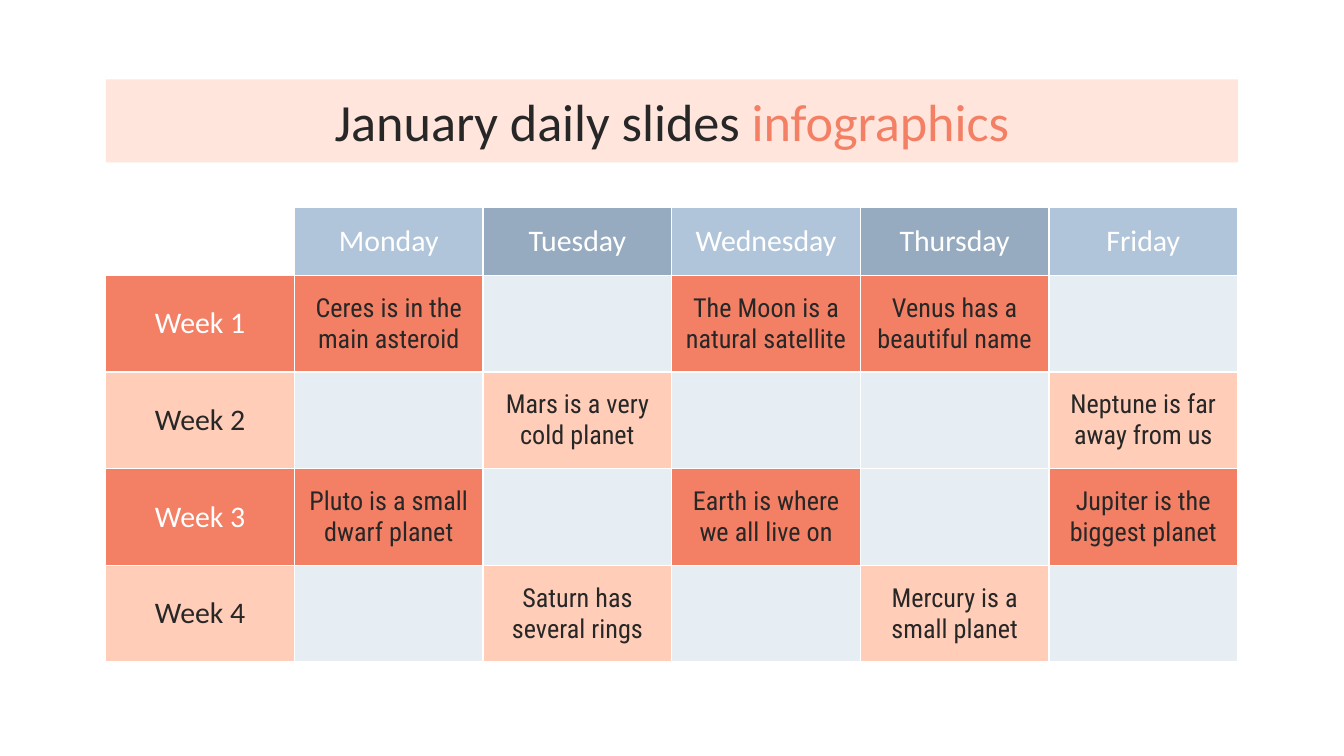
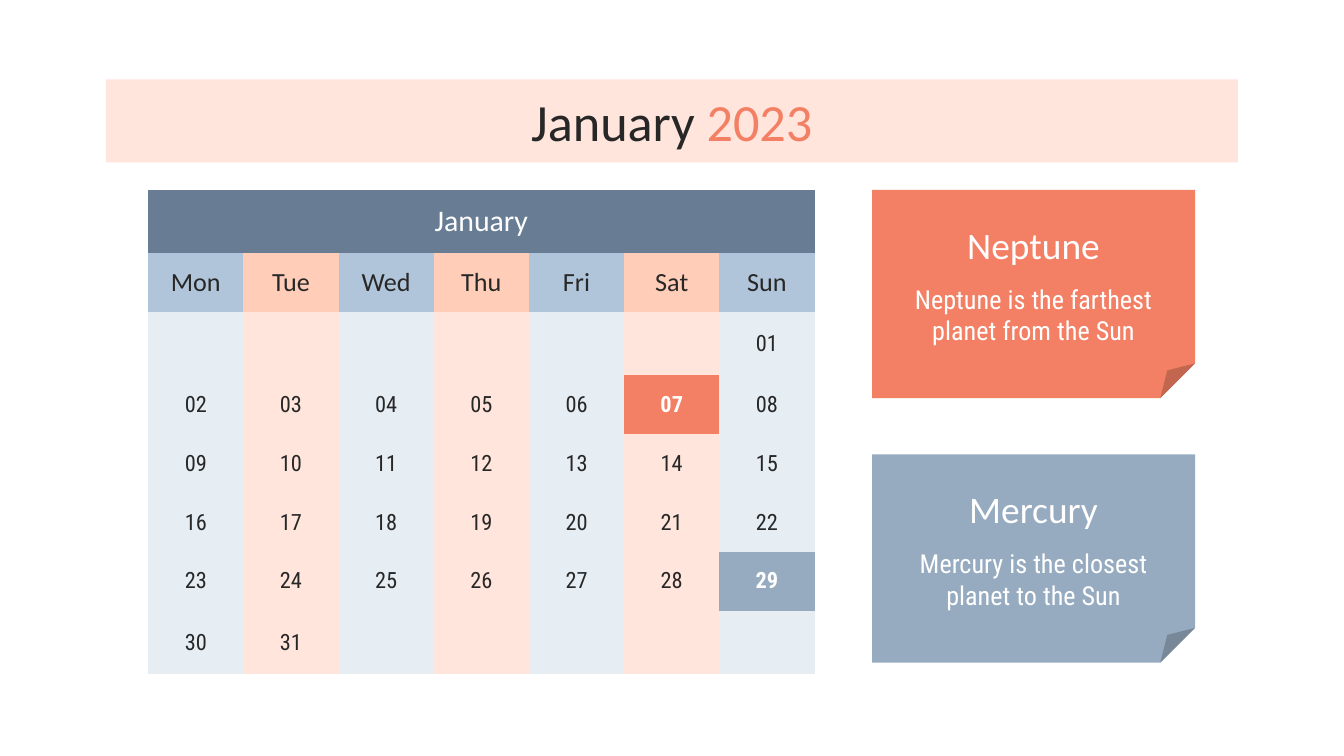
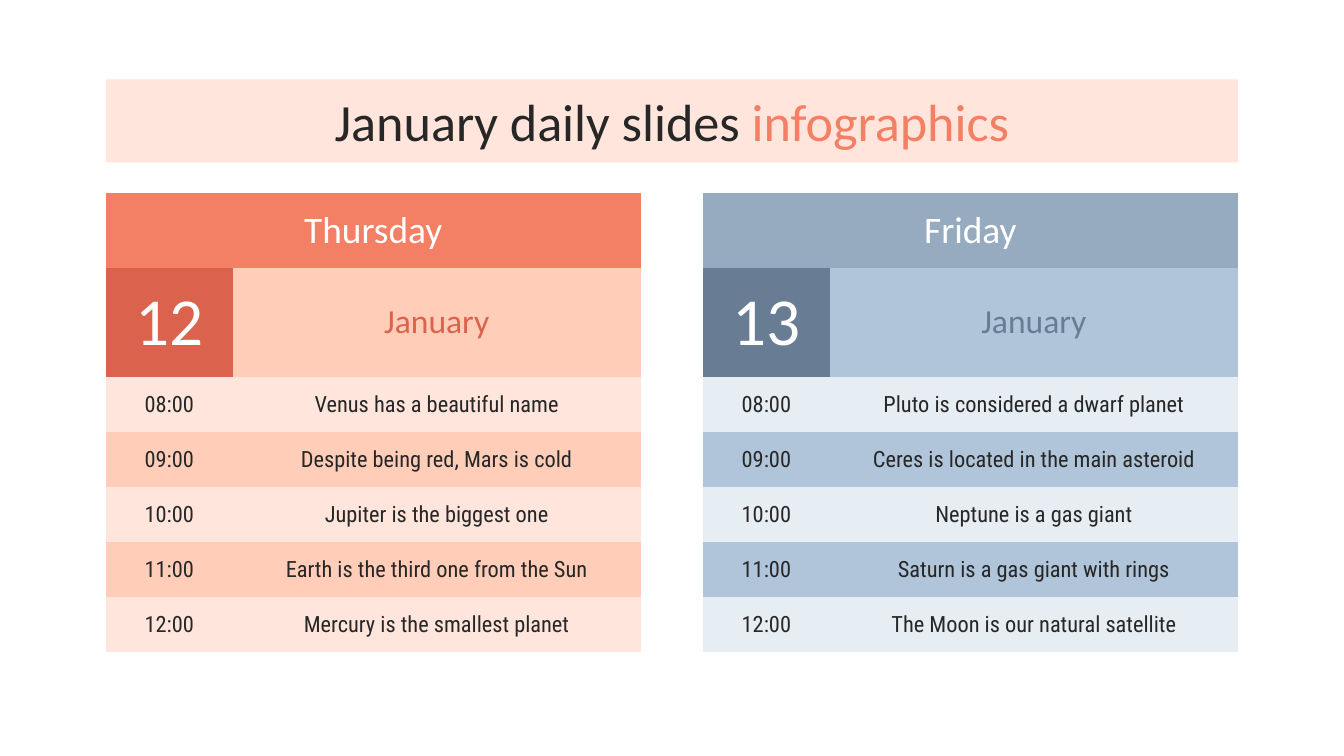
from dataclasses import dataclass

from lxml import etree
from pptx import Presentation
from pptx.dml.color import RGBColor
from pptx.enum.shapes import MSO_SHAPE
from pptx.enum.text import MSO_ANCHOR, PP_ALIGN
from pptx.oxml.ns import qn
from pptx.util import Pt

RECTANGLE, FOLDED_CORNER = MSO_SHAPE.RECTANGLE, MSO_SHAPE.FOLDED_CORNER
MIDDLE, CENTER = MSO_ANCHOR.MIDDLE, PP_ALIGN.CENTER
PLAIN_TABLE_STYLE = "{2D5ABB26-0587-4C30-8999-92F81FD0307C}"


@dataclass(frozen=True)
class Theme:
    ink: str = "272727"
    white: str = "FFFFFF"
    brick: str = "DB634D"
    coral: str = "F38065"
    peach: str = "FFCDB8"
    blush: str = "FFE5DB"
    slate: str = "687D94"
    steel: str = "96ABC0"
    sky: str = "B1C5DA"
    mist: str = "E6EDF3"
    heading: str = "Calibri"
    body: str = "Roboto Condensed"
    title_size: float = 28
    date_size: float = 36
    name_size: float = 20
    month_size: float = 18
    label_size: float = 16
    text_size: float = 14
    small_size: float = 12
    inset: float = 7.2
    left: float = 56.7
    width: float = 606.5


T = Theme()


@dataclass
class Cell:
    fill: str = ""
    text: str = ""
    size: float = T.small_size
    font: str = T.body
    color: str = T.ink
    bold: bool = False


def set_fill(item, color):
    item.fill.solid()
    item.fill.fore_color.rgb = RGBColor.from_string(color)


def style_run(r, size, font, color, bold=False):
    r.font.size = Pt(size)
    r.font.name = font
    r.font.bold = bold
    r.font.color.rgb = RGBColor.from_string(color)


def set_insets(item):
    """Give a text frame or a table cell the same margin on all sides."""
    item.margin_left = item.margin_right = Pt(T.inset)
    item.margin_top = item.margin_bottom = Pt(T.inset)
    item.vertical_anchor = MIDDLE


def add_filled_shape(s, kind, left, top, width, height, color):
    sp = s.shapes.add_shape(kind, Pt(left), Pt(top), Pt(width), Pt(height))
    sp.shadow.inherit = False
    sp.line.fill.background()
    set_fill(sp, color)
    return sp


def add_title(s, start, accent):
    """Title band whose last word is in the accent colour."""
    sp = add_filled_shape(s, RECTANGLE, T.left, 42.5, T.width, 44.5, T.blush)
    tf = sp.text_frame
    tf.word_wrap = True
    set_insets(tf)
    p = tf.paragraphs[0]
    p.alignment = CENTER
    for text, color in ((start + " ", T.ink), (accent, T.coral)):
        r = p.add_run()
        r.text = text
        style_run(r, T.title_size, T.heading, color)


def add_text(s, left, top, width, height, text, size, font):
    tf = s.shapes.add_textbox(Pt(left), Pt(top), Pt(width), Pt(height)).text_frame
    tf.word_wrap = True
    set_insets(tf)
    p = tf.paragraphs[0]
    p.text = text
    p.alignment = CENTER
    style_run(p.runs[0], size, font, T.white)


def add_note(s, top, color, name, text):
    left, width = 467.2, 173
    add_filled_shape(s, FOLDED_CORNER, left, top, width, 111.6, color)
    add_text(s, left + 10, top + 18.3, width - 20, 21.9, name, T.name_size, T.heading)
    add_text(s, left + 10, top + 40.2, width - 20, 53.3, text, T.text_size, T.body)


def add_border(cell, color):
    tc_pr = cell._tc.get_or_add_tcPr()
    for i, side in enumerate(("lnL", "lnR", "lnT", "lnB")):
        ln = etree.Element(qn("a:" + side), w=str(Pt(0.75)))
        fill = etree.SubElement(ln, qn("a:solidFill"))
        etree.SubElement(fill, qn("a:srgbClr"), val=color)
        tc_pr.insert(i, ln)


def fill_cell(cell, content):
    set_insets(cell)
    if content.fill:
        set_fill(cell, content.fill)
    p = cell.text_frame.paragraphs[0]
    p.alignment = CENTER
    if content.text:
        p.text = content.text
        style_run(p.runs[0], content.size, content.font, content.color, content.bold)
    else:
        etree.SubElement(p._p, qn("a:endParaRPr"), sz=str(int(content.size * 100)))


def add_grid(s, left, top, col_widths, row_heights, rows, border=None):
    """Table from rows of Cell; a row with a single Cell spans all columns."""
    frame = s.shapes.add_table(len(rows), len(col_widths), Pt(left), Pt(top),
                               Pt(sum(col_widths)), Pt(sum(row_heights)))
    table = frame.table
    table.first_row = table.horz_banding = False
    table._tbl.tblPr.find(qn("a:tableStyleId")).text = PLAIN_TABLE_STYLE
    for column, width in zip(table.columns, col_widths):
        column.width = Pt(width)
    for i, (height, contents) in enumerate(zip(row_heights, rows)):
        table.rows[i].height = Pt(height)
        if len(contents) == 1:
            table.cell(i, 0).merge(table.cell(i, len(col_widths) - 1))
        for j, content in enumerate(contents):
            cell = table.cell(i, j)
            fill_cell(cell, content)
            if border:
                add_border(cell, border)


def add_week_plan(s, days, weeks):
    """weeks: one dict per week, from day name to its entry."""
    rows = [[Cell()] + [Cell((T.sky, T.steel)[i % 2], day, T.label_size, T.heading, T.white)
                        for i, day in enumerate(days)]]
    for i, entries in enumerate(weeks):
        fill, color = ((T.coral, T.white), (T.peach, T.ink))[i % 2]
        row = [Cell(fill, f"Week {i + 1}", T.label_size, T.heading, color)]
        for day in days:
            row.append(Cell(fill if day in entries else T.mist,
                            entries.get(day, ""), T.text_size))
        rows.append(row)
    columns = len(days) + 1
    add_grid(s, T.left, 111.2, [T.width / columns] * columns,
             [36.3] + [51.8] * len(weeks), rows, border=T.white)


def add_calendar(s, month, day_names, first_column, day_count, marked):
    """marked: fill colour of each highlighted day."""
    rows = [[Cell(T.slate, month, T.label_size, T.heading, T.white)],
            [Cell((T.sky, T.peach)[i % 2], name, T.text_size, T.heading)
             for i, name in enumerate(day_names)]]
    for first_day in range(1 - first_column, day_count + 1, 7):
        row = []
        for i in range(7):
            day = first_day + i
            text = f"{day:02d}" if 1 <= day <= day_count else ""
            if day in marked:
                row.append(Cell(marked[day], text, color=T.white, bold=True))
            else:
                row.append(Cell((T.mist, T.blush)[i % 2], text))
        rows.append(row)
    edge, inner = 34.2, 31.5
    heights = [33.7, inner, edge] + [inner] * (len(rows) - 4) + [edge]
    add_grid(s, 79.4, 101.8, [51] * 7, heights, rows)


def add_day_plan(s, left, day, date, colors, events):
    """colors: header, date, month and light row."""
    header, strong, medium, light = colors
    rows = [[Cell(header, day, T.name_size, T.heading, T.white)],
            [Cell(strong, date, T.date_size, T.heading, T.white),
             Cell(medium, "January", T.month_size, T.heading, strong)]]
    for i, event in enumerate(events):
        fill = (light, medium)[i % 2]
        rows.append([Cell(fill, f"{8 + i:02d}:00"), Cell(fill, event)])
    add_grid(s, left, 103.3, [68, 218.6], [40.3, 58.3] + [29.5] * len(events), rows)


def main():
    prs = Presentation()
    prs.slide_width, prs.slide_height = Pt(720), Pt(405)
    blank = prs.slide_layouts[6]

    s = prs.slides.add_slide(blank)
    add_title(s, "January daily slides", "infographics")
    add_week_plan(s, ["Monday", "Tuesday", "Wednesday", "Thursday", "Friday"], [
        {"Monday": "Ceres is in the main asteroid",
         "Wednesday": "The Moon is a natural satellite",
         "Thursday": "Venus has a beautiful name"},
        {"Tuesday": "Mars is a very cold planet",
         "Friday": "Neptune is far away from us"},
        {"Monday": "Pluto is a small dwarf planet",
         "Wednesday": "Earth is where we all live on",
         "Friday": "Jupiter is the biggest planet"},
        {"Tuesday": "Saturn has several rings",
         "Thursday": "Mercury is a small planet"},
    ])

    s = prs.slides.add_slide(blank)
    add_title(s, "January", "2023")
    add_note(s, 243.4, T.steel, "Mercury", "Mercury is the closest planet to the Sun")
    add_note(s, 101.7, T.coral, "Neptune", "Neptune is the farthest planet from the Sun")
    add_calendar(s, "January", ["Mon", "Tue", "Wed", "Thu", "Fri", "Sat", "Sun"],
                 6, 31, {7: T.coral, 29: T.steel})

    s = prs.slides.add_slide(blank)
    add_title(s, "January daily slides", "infographics")
    add_day_plan(s, T.left, "Thursday", "12", (T.coral, T.brick, T.peach, T.blush), [
        "Venus has a beautiful name",
        "Despite being red, Mars is cold",
        "Jupiter is the biggest one",
        "Earth is the third one from the Sun",
        "Mercury is the smallest planet",
    ])
    add_day_plan(s, 376.6, "Friday", "13", (T.steel, T.slate, T.sky, T.mist), [
        "Pluto is considered a dwarf planet",
        "Ceres is located in the main asteroid",
        "Neptune is a gas giant",
        "Saturn is a gas giant with rings",
        "The Moon is our natural satellite",
    ])

    prs.save("out.pptx")


if __name__ == "__main__":
    main()
